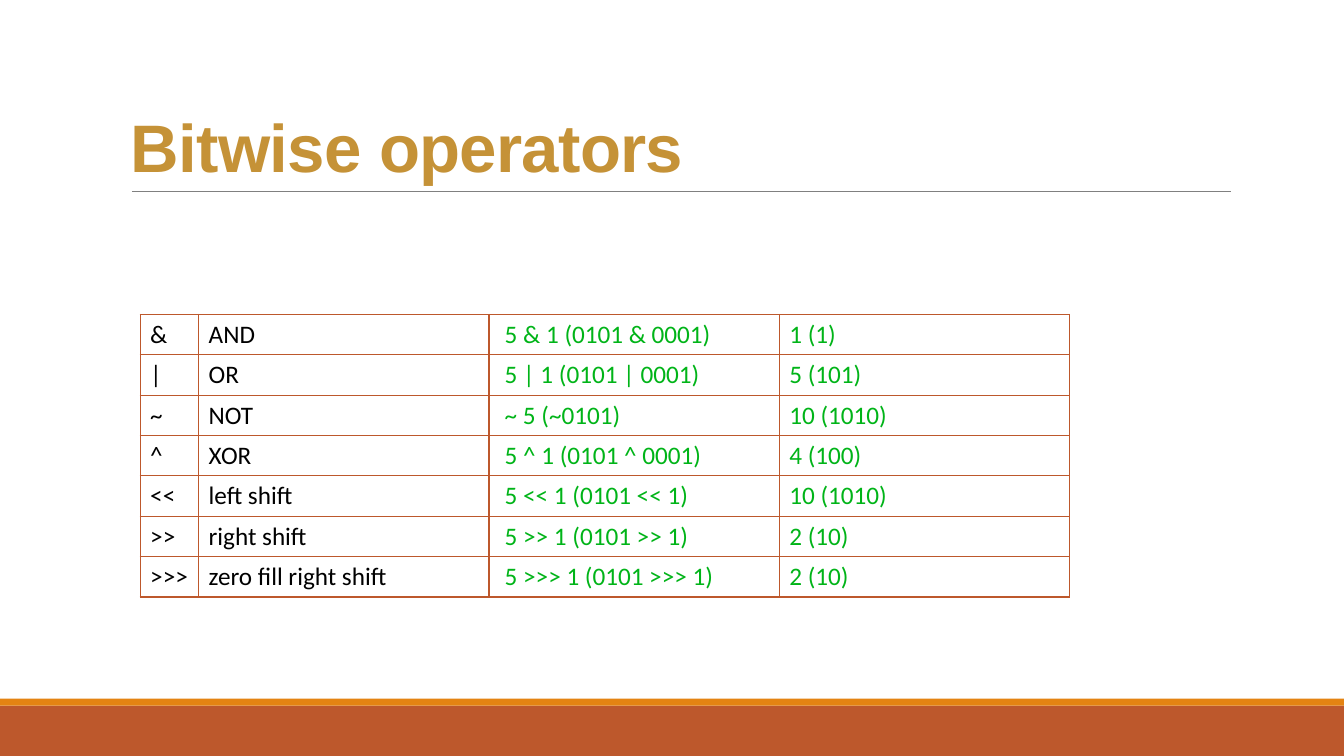
from dataclasses import dataclass

from lxml.etree import SubElement
from pptx import Presentation
from pptx.dml.color import RGBColor as Color
from pptx.enum.shapes import MSO_CONNECTOR as Connector, MSO_SHAPE as Shape
from pptx.enum.text import MSO_ANCHOR as Anchor
from pptx.oxml.ns import qn
from pptx.util import Pt


@dataclass(frozen=True)
class Theme:
    title: str = "C59237"
    rule: str = "808080"
    footer: str = "BD582C"
    accent: str = "E48312"
    border: str = "BD582C"
    label: str = "000000"
    example: str = "00B418"
    title_font: str = "Arial"
    body_font: str = "Calibri"
    title_size: float = 48
    body_size: float = 18


THEME = Theme()
PAGE_WIDTH, PAGE_HEIGHT = 960, 540
TITLE_BOX = (86.4, 22.3, 792, 114.5)
TABLE_BOX = (100.1, 224.6, 664, 201.6)
FOOTER_BOX = (0, 499, PAGE_WIDTH, 41)
SYMBOL_WIDTH = 41.8
EXAMPLE_INDENT = 4.1
OPERATORS = [
    ("&", "AND", "5 & 1 (0101 & 0001)", "1 (1)"),
    ("|", "OR", "5 | 1 (0101 | 0001)", "5 (101)"),
    ("~", "NOT", "~ 5 (~0101)", "10 (1010)"),
    ("^", "XOR", "5 ^ 1 (0101 ^ 0001)", "4 (100)"),
    ("<<", "left shift", "5 << 1 (0101 << 1)", "10 (1010)"),
    (">>", "right shift", "5 >> 1 (0101 >> 1)", "2 (10)"),
    (">>>", "zero fill right shift", "5 >>> 1 (0101 >>> 1)", "2 (10)"),
]


def write_text(frame, text, *, font, size, color, bold=False, line_spacing=None, tracking=None):
    """Fill the first paragraph of a frame; tracking is in points."""
    para = frame.paragraphs[0]
    if line_spacing:
        para.line_spacing = line_spacing
    span = para.add_run()
    span.text = text
    span.font.name = font
    span.font.size = Pt(size)
    span.font.bold = bold
    span.font.color.rgb = Color.from_string(color)
    if tracking is not None:
        span._r.get_or_add_rPr().set("spc", str(round(tracking * 100)))


def add_bar(page, box, color):
    bar = page.shapes.add_shape(Shape.RECTANGLE, *map(Pt, box))
    bar.shadow.inherit = False
    bar.fill.solid()
    bar.fill.fore_color.rgb = Color.from_string(color)
    bar.line.fill.background()


def add_footer(page, box):
    left, top, width, height = box
    strip = 5
    add_bar(page, (left, top + strip, width, height - strip), THEME.footer)
    add_bar(page, (left, top, width, strip), THEME.accent)


def add_title(page, box, text):
    """Place the title with the thin rule along its bottom edge."""
    left, top, width, height = box
    bottom = top + height
    rule_left = left + 7.9
    rule = page.shapes.add_connector(
        Connector.STRAIGHT, Pt(rule_left), Pt(bottom), Pt(rule_left + 784.8), Pt(bottom))
    rule.line.color.rgb = Color.from_string(THEME.rule)
    rule.line.width = Pt(0.5)
    SubElement(rule._element.spPr, qn("a:effectLst"))

    frame = page.shapes.add_textbox(*map(Pt, box)).text_frame
    frame.word_wrap = True
    frame.vertical_anchor = Anchor.BOTTOM
    write_text(frame, text, font=THEME.title_font, size=THEME.title_size,
               color=THEME.title, bold=True, line_spacing=0.85, tracking=-0.5)


def add_borders(cell, color, width):
    properties = cell._tc.get_or_add_tcPr()
    for side in ("lnL", "lnR", "lnT", "lnB"):
        line = SubElement(properties, qn(f"a:{side}"), w=str(Pt(width)))
        fill = SubElement(line, qn("a:solidFill"))
        SubElement(fill, qn("a:srgbClr"), val=color)


def add_operator_table(page, box, rows):
    """Place a narrow symbol column followed by equal columns."""
    column_count = len(rows[0])
    table = page.shapes.add_table(len(rows), column_count, *map(Pt, box)).table
    table.first_row = table.horz_banding = False
    width, height = box[2:]
    wide = (width - SYMBOL_WIDTH) / (column_count - 1)
    for index, column in enumerate(table.columns):
        column.width = Pt(wide if index else SYMBOL_WIDTH)
    for table_row, texts in zip(table.rows, rows):
        table_row.height = Pt(height / len(rows))
        for index, (cell, text) in enumerate(zip(table_row.cells, texts)):
            cell.margin_left = Pt(7.2 + (EXAMPLE_INDENT if index == 2 else 0))
            cell.margin_right = cell.margin_top = cell.margin_bottom = Pt(3.6)
            cell.vertical_anchor = Anchor.MIDDLE
            add_borders(cell, THEME.border, 1)
            cell.fill.background()
            write_text(cell.text_frame, text, font=THEME.body_font, size=THEME.body_size,
                       color=THEME.example if index >= 2 else THEME.label)


def main():
    deck = Presentation()
    deck.slide_width, deck.slide_height = Pt(PAGE_WIDTH), Pt(PAGE_HEIGHT)
    page = deck.slides.add_slide(deck.slide_layouts[6])
    add_footer(page, FOOTER_BOX)
    add_title(page, TITLE_BOX, "Bitwise operators")
    add_operator_table(page, TABLE_BOX, OPERATORS)
    deck.save("out.pptx")


if __name__ == "__main__":
    main()
